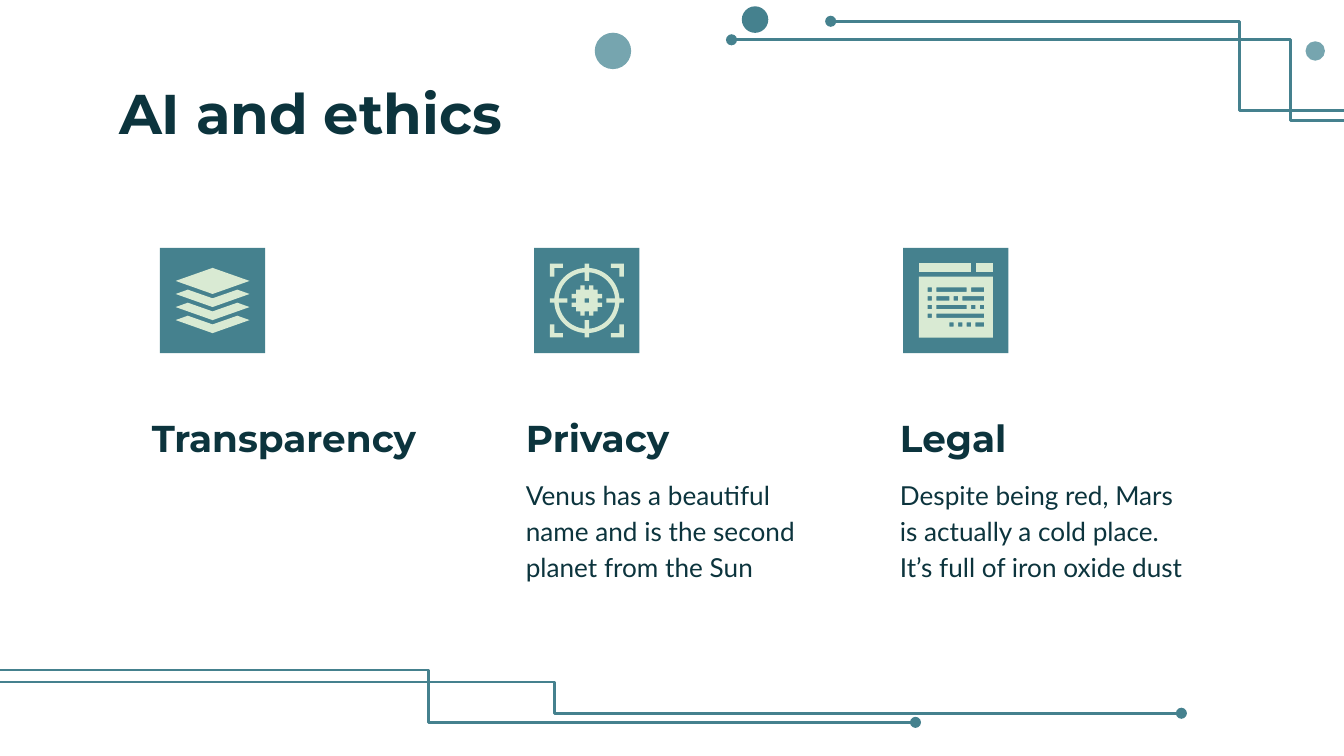
import math
from dataclasses import dataclass

import lxml.etree
import pptx
import pptx.dml.color
import pptx.enum.shapes
import pptx.enum.text
import pptx.oxml.ns
import pptx.util

Pt = pptx.util.Pt
qn = pptx.oxml.ns.qn
SHAPES = pptx.enum.shapes.MSO_SHAPE
ANCHOR = pptx.enum.text.MSO_ANCHOR


@dataclass(frozen=True)
class Theme:
    ink: str = "0C343D"
    teal: str = "45818E"
    mist: str = "76A5AF"
    mint: str = "D9EAD3"
    head_font: str = "Montserrat"
    body_font: str = "Lato"
    title_size: float = 30
    head_size: float = 20
    body_size: float = 14
    line_width: float = 1.5


T = Theme()
GRID = 17
CELL = 2.33
TILE = 56.4
INSET = (TILE - GRID * CELL) / 2
TILE_TOP = 132.8
COLUMN_LEFT, COLUMN_STEP, COLUMN_WIDTH = 74.2, 200.4, 171.4

CIRCLES = [
    (441.1, 27.3, 19.5, T.mist),
    (404.5 - 0.1, 10.5, 14.2, T.teal),
    (704.6, 27.3, 10.4, T.mist),
]
CIRCLES[0], CIRCLES[1] = (328.4, 27.3, 19.5, T.mist), (404.5, 10.5, 14.2, T.teal)

CIRCUITS = [
    ((761, 64.4), (391.9, 21.3), 0.189),
    ((771.1, 59.1), (445, 11.4), 0.328),
    ((-38.9, 365.4), (632.9, 382.1), 0.5),
    ((-31.7, 358.9), (490.4, 387), 0.5),
]

COLUMNS = [
    ("Transparency", ""),
    ("Privacy", "Venus has a beautiful name and is the second planet from the Sun"),
    ("Legal", "Despite being red, Mars is actually a cold place. It’s full of iron oxide dust"),
]

CODE_ROWS = [
    [(2, 3), (4, 11), (12, 15)],
    [(2, 3), (4, 7), (8, 9), (10, 15)],
    [(2, 3), (4, 11), (12, 13), (14, 15)],
    [(2, 3), (4, 15)],
    [(7, 8), (9, 10), (11, 12), (13, 15)],
]


def rgb(color):
    return pptx.dml.color.RGBColor.from_string(color)


def paint(sp, color):
    sp.shadow.inherit = False
    sp.fill.solid()
    sp.fill.fore_color.rgb = rgb(color)
    sp.line.fill.background()


def add_preset(s, kind, x, y, size, color):
    paint(s.shapes.add_shape(kind, Pt(x), Pt(y), Pt(size), Pt(size)), color)


def add_circuit(s, start, end, bend):
    (x1, y1), (x2, y2) = sorted([start, end])
    cxn = s.shapes.add_connector(
        pptx.enum.shapes.MSO_CONNECTOR.ELBOW, Pt(x1), Pt(y1), Pt(x2), Pt(y2))
    cxn.line.color.rgb = rgb(T.teal)
    cxn.line.width = Pt(T.line_width)
    sp_pr = cxn.element.spPr
    if start > end:
        sp_pr.find(qn("a:xfrm")).set("rot", "10800000")
    guides = sp_pr.find(qn("a:prstGeom")).find(qn("a:avLst"))
    lxml.etree.SubElement(guides, qn("a:gd"), name="adj1", fmla=f"val {round(bend * 100000)}")
    lxml.etree.SubElement(sp_pr.find(qn("a:ln")), qn("a:tailEnd"), type="oval")
    lxml.etree.SubElement(sp_pr, qn("a:effectLst"))


def add_text(s, text, x, y, w, h, *, size, font, bold=False, spacing=1.0, anchor=ANCHOR.TOP):
    tf = s.shapes.add_textbox(Pt(x), Pt(y), Pt(w), Pt(h)).text_frame
    tf.word_wrap = True
    tf.vertical_anchor = anchor
    tf.margin_left = tf.margin_right = tf.margin_top = tf.margin_bottom = Pt(7.2)
    p = tf.paragraphs[0]
    p.line_spacing = spacing
    r = p.add_run()
    r.text = text
    r.font.name, r.font.size, r.font.bold = font, Pt(size), bold
    r.font.color.rgb = rgb(T.ink)


def add_outline(s, left, *contours):
    def place(point):
        return (Pt(left + INSET + point[0] * CELL), Pt(TILE_TOP + INSET + point[1] * CELL))

    first, *rest = [[place(point) for point in contour] for contour in contours]
    builder = s.shapes.build_freeform(*first[0])
    builder.add_line_segments(first[1:], close=True)
    for contour in rest:
        builder.move_to(*contour[0])
        builder.add_line_segments(contour[1:], close=True)
    paint(builder.convert_to_shape(), T.mint)


def box(x1, y1, x2, y2):
    return [(x1, y1), (x2, y1), (x2, y2), (x1, y2)]


def quarter_turns(points):
    turns = [points]
    for _ in range(3):
        turns.append([(GRID - y, x) for x, y in turns[-1]])
    return turns


def full_turn(points):
    return sum(quarter_turns(points), [])


def ring(radius, tip, steps=24):
    mid = GRID / 2
    edge = math.asin(0.5 / radius)
    angles = [edge + (math.pi / 2 - 2 * edge) * i / steps for i in range(steps + 1)]
    arc = [(mid + radius * math.sin(a), mid - radius * math.cos(a)) for a in angles]
    return full_turn([(mid - 0.5, mid - tip), (mid + 0.5, mid - tip)] + arc)


def layers_icon(s, left):
    add_outline(s, left, [(8.5, 1), (0, 4), (8.5, 7), (17, 4)])
    for y in (6, 9, 12):
        add_outline(s, left, [(2.8, y), (0, y + 1), (8.5, y + 4), (17, y + 1),
                              (14.2, y), (8.5, y + 2)])


def target_icon(s, left):
    add_outline(s, left, ring(7.5, 8.5), ring(6.5, 4.5))
    for corner in quarter_turns([(0, 0), (0, 3), (1, 3), (1, 1), (3, 1), (3, 0)]):
        add_outline(s, left, corner)
    teeth = [(6, 6), (7, 6), (7, 5), (8, 5), (8, 6), (9, 6), (9, 5), (10, 5), (10, 6)]
    add_outline(s, left, full_turn(teeth), box(8, 8, 9, 9)[::-1])


def document_icon(s, left):
    add_outline(s, left, box(0, 0, 12, 2))
    add_outline(s, left, box(13, 0, 17, 2))
    marks = [box(x1, 5.5 + 2 * i, x2, 6.5 + 2 * i)[::-1]
             for i, row in enumerate(CODE_ROWS) for x1, x2 in row]
    add_outline(s, left, box(0, 3, 17, 17), *marks)


def main():
    prs = pptx.Presentation()
    prs.slide_width, prs.slide_height = Pt(720), Pt(405)
    s = prs.slides.add_slide(prs.slide_layouts[6])
    for x, y, size, color in CIRCLES:
        add_preset(s, SHAPES.OVAL, x - size / 2, y - size / 2, size, color)
    for start, end, bend in CIRCUITS:
        add_circuit(s, start, end, bend)
    add_text(s, "AI and ethics", 56.7, 35.1, 607, 45.1,
             size=T.title_size, font=T.head_font, bold=True)
    for i, (heading, body) in enumerate(COLUMNS):
        x = COLUMN_LEFT + i * COLUMN_STEP
        add_text(s, heading, x, 222.5, COLUMN_WIDTH, 31, size=T.head_size,
                 font=T.head_font, bold=True, spacing=1.15, anchor=ANCHOR.BOTTOM)
        if body:
            add_text(s, body, x, 247, COLUMN_WIDTH, 67.7, size=T.body_size,
                     font=T.body_font, spacing=1.15)
    for left, icon in ((85.7, layers_icon), (286.2, target_icon), (483.9, document_icon)):
        add_preset(s, SHAPES.RECTANGLE, left, TILE_TOP, TILE, T.teal)
        icon(s, left)
    prs.save("out.pptx")


if __name__ == "__main__":
    main()
